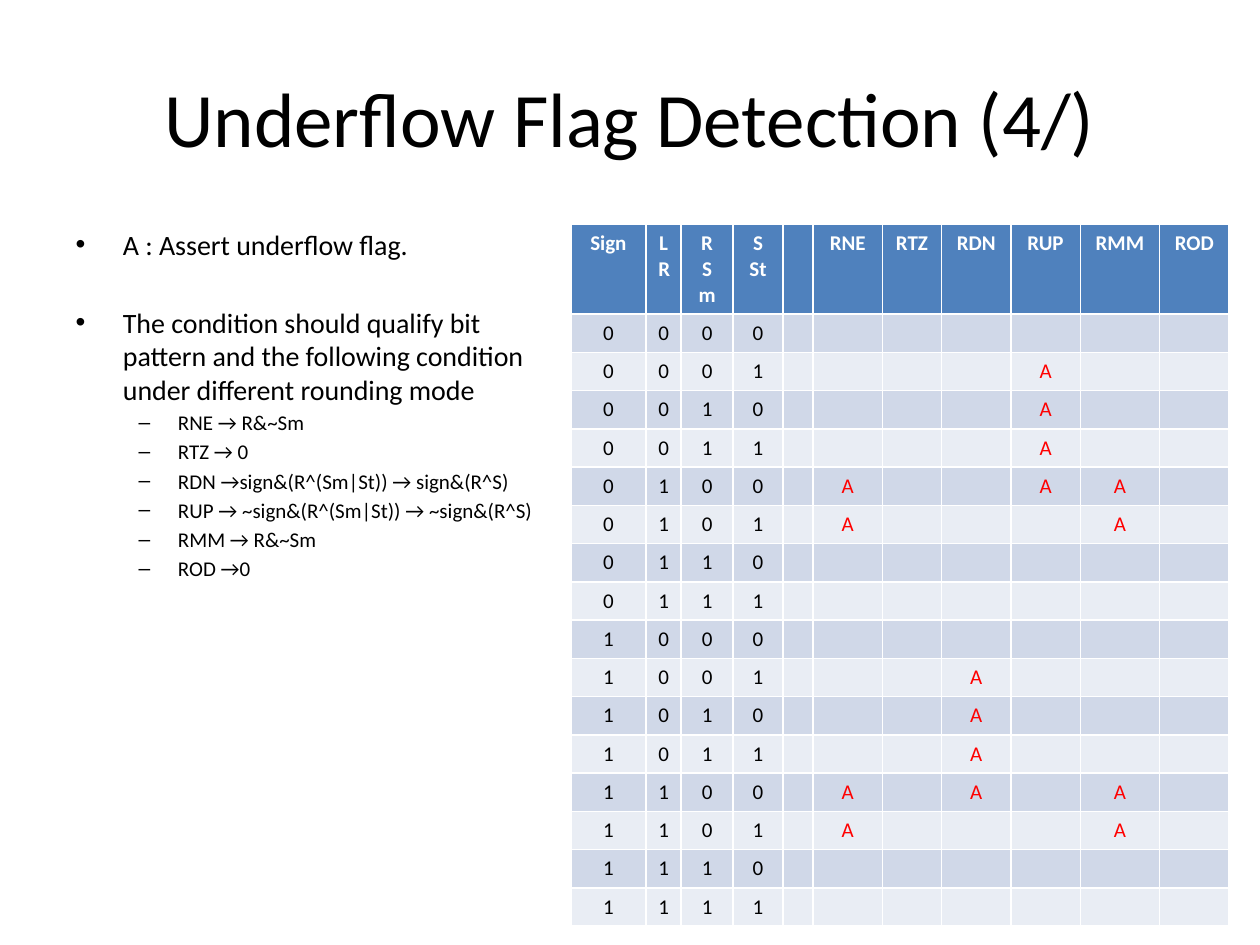
"""Build a slide on underflow flag detection with its rounding mode table."""
from dataclasses import dataclass
from itertools import product

from lxml.etree import SubElement
from pptx import Presentation
from pptx.dml.color import RGBColor as Rgb
from pptx.enum.text import MSO_ANCHOR as Anchor, MSO_AUTO_SIZE as AutoSize, PP_ALIGN as Align
from pptx.oxml.ns import qn
from pptx.util import Cm, Pt


@dataclass(frozen=True)
class Theme:
    font: str = "Calibri"
    ink: str = "000000"
    flag: str = "FF0000"
    header_ink: str = "FFFFFF"
    header_fill: str = "4F81BD"
    bands: tuple = ("D0D8E8", "E9EDF4")
    title_size: int = 44
    bullet_size: int = 16
    small_size: int = 12


THEME = Theme()
TITLE = "Underflow Flag Detection (4/)"
BULLETS = [
    (0, "A : Assert underflow flag.", 0),
    (0, "The condition should qualify bit pattern and the following condition "
        "under different rounding mode", 25.5),
    (1, "RNE → R&~Sm", 2.2),
    (1, "RTZ → 0", 2.2),
    (1, "RDN →sign&(R^(Sm|St)) → sign&(R^S)", 2.2),
    (1, "RUP → ~sign&(R^(Sm|St)) → ~sign&(R^S)", 2.2),
    (1, "RMM → R&~Sm", 2.2),
    (1, "ROD →0", 2.2),
]
HEADERS = ["Sign", "L\nR", "R\nSm", "S\nSt", "", "RNE", "RTZ", "RDN", "RUP", "RMM", "ROD"]
COLUMN_WIDTHS = [1.51, 0.71, 1.05, 1.0, 0.61, 1.4, 1.19, 1.4, 1.4, 1.6, 1.4]
HEADER_HEIGHT, ROW_HEIGHT = 1.29, 0.77


def style_paragraph(para, size, color, bold=False):
    for span in para.runs:
        span.font.name = THEME.font
        span.font.size = Pt(size)
        span.font.bold = bold
        span.font.color.rgb = Rgb.from_string(color)


def place(box, left, top, width, height):
    box.left, box.top, box.width, box.height = map(Cm, (left, top, width, height))
    box.text_frame.word_wrap = True
    box.text_frame.auto_size = AutoSize.NONE


def fill_title(box):
    place(box, 1.27, 0.76, 22.86, 3.18)
    frame = box.text_frame
    frame.text = TITLE
    frame.vertical_anchor = Anchor.MIDDLE
    frame.paragraphs[0].alignment = Align.CENTER
    style_paragraph(frame.paragraphs[0], THEME.title_size, THEME.ink)


def fill_bullets(box):
    place(box, 1.27, 4.45, 10.24, 12.57)
    frame = box.text_frame
    frame.text = "\n".join(text for _, text, _ in BULLETS)
    for para, (level, _, gap) in zip(frame.paragraphs, BULLETS):
        para.level = level
        para.space_before = Pt(gap)
        style_paragraph(para, THEME.small_size if level else THEME.bullet_size, THEME.ink)


def truth_rows():
    for sign, low, round_bit, sticky in product((0, 1), repeat=4):
        nearest = low and not round_bit
        directed = low ^ (round_bit | sticky)
        flags = [nearest, False, sign and directed, not sign and directed, nearest, False]
        bits = [str(bit) for bit in (sign, low, round_bit, sticky)]
        yield bits + [""] + ["A" if flag else "" for flag in flags]


def fill_cell(cell, text, color, fill, bold=False):
    cell.fill.solid()
    cell.fill.fore_color.rgb = Rgb.from_string(fill)
    cell.text_frame.text = text
    for para in cell.text_frame.paragraphs:
        para.alignment = Align.CENTER
        style_paragraph(para, THEME.small_size, color, bold)
        if not text:
            SubElement(para._p, qn("a:endParaRPr"), sz=str(THEME.small_size * 100))


def add_truth_table(page):
    rows = list(truth_rows())
    height = HEADER_HEIGHT + ROW_HEIGHT * len(rows)
    table = page.shapes.add_table(len(rows) + 1, len(HEADERS), Cm(11.51), Cm(4.53),
                                  Cm(sum(COLUMN_WIDTHS)), Cm(height)).table
    for column, width in zip(table.columns, COLUMN_WIDTHS):
        column.width = Cm(width)
    table.rows[0].height = Cm(HEADER_HEIGHT)
    for index, text in enumerate(HEADERS):
        fill_cell(table.cell(0, index), text, THEME.header_ink, THEME.header_fill, True)
    for number, row in enumerate(rows, 1):
        table.rows[number].height = Cm(ROW_HEIGHT)
        for index, text in enumerate(row):
            color = THEME.flag if text == "A" else THEME.ink
            fill_cell(table.cell(number, index), text, color, THEME.bands[(number - 1) % 2])


def main():
    deck = Presentation()
    deck.slide_width, deck.slide_height = Cm(25.4), Cm(19.05)
    page = deck.slides.add_slide(deck.slide_layouts[1])
    fill_title(page.shapes.title)
    fill_bullets(page.placeholders[1])
    add_truth_table(page)
    deck.save("out.pptx")


if __name__ == "__main__":
    main()
